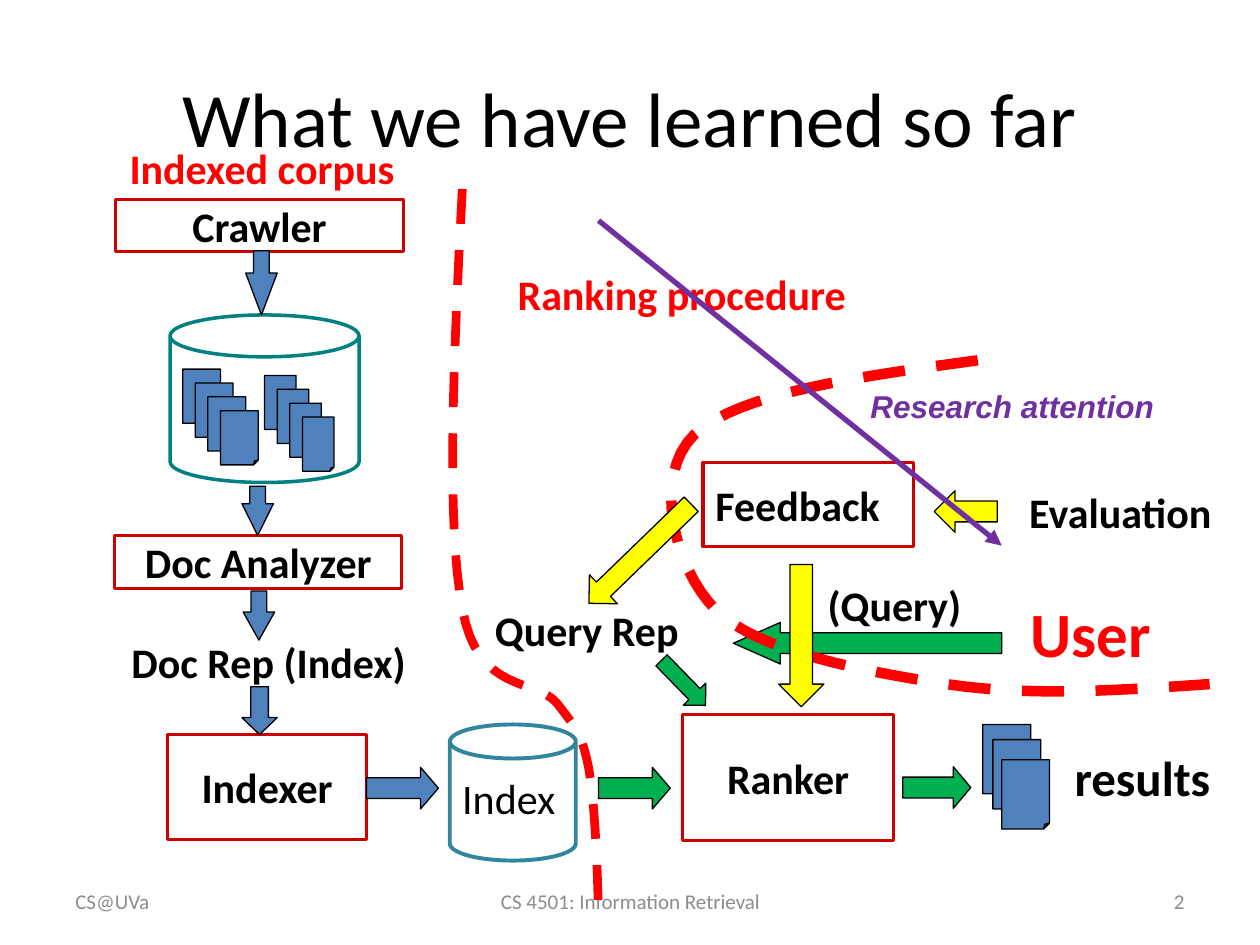
from lxml import etree
from pptx import Presentation
from pptx.dml.color import RGBColor
from pptx.enum.dml import MSO_LINE
from pptx.enum.shapes import MSO_CONNECTOR, MSO_SHAPE as SHAPE
from pptx.enum.text import MSO_ANCHOR as ANCHOR, PP_ALIGN as ALIGN
from pptx.oxml.ns import qn
from pptx.util import Inches, Pt

BLACK = RGBColor(0x00, 0x00, 0x00)
GRAY = RGBColor(0x8C, 0x8C, 0x8C)
RED = RGBColor(0xFF, 0x00, 0x00)
DARK_RED = RGBColor(0xCC, 0x00, 0x00)
BLUE = RGBColor(0x4F, 0x81, 0xBD)
GREEN = RGBColor(0x00, 0xB0, 0x50)
YELLOW = RGBColor(0xFF, 0xFF, 0x00)
TEAL = RGBColor(0x00, 0x80, 0x80)
SEA_BLUE = RGBColor(0x31, 0x85, 0x9C)
PURPLE = RGBColor(0x70, 0x30, 0xA0)

prs = Presentation()
prs.slide_width, prs.slide_height = Inches(10), Inches(7.5)
slide = prs.slides.add_slide(prs.slide_layouts[6])
shapes = slide.shapes


def add_figure(kind, at, fill=None, line=BLACK, width=0.75, adj=None, turn=0):
    figure = shapes.add_shape(kind, *map(Inches, at))
    figure.shadow.inherit = False
    if fill is None:
        figure.fill.background()
    else:
        figure.fill.solid()
        figure.fill.fore_color.rgb = fill
    figure.line.color.rgb = line
    figure.line.width = Pt(width)
    # Written as XML because folded corners expose no adjustments
    if adj:
        guides = figure._element.spPr.find(qn("a:prstGeom")).find(qn("a:avLst"))
        for guide in list(guides):
            guides.remove(guide)
        for name, value in adj.items():
            etree.SubElement(guides, qn("a:gd"), name=name, fmla=f"val {round(value * 100000)}")
    figure.rotation = turn
    return figure


def add_text(at, text, size=24, color=BLACK, bold=True, italic=False, font="Calibri",
             align=ALIGN.LEFT, anchor=ANCHOR.TOP, wrap=True, holder=None):
    holder = holder or shapes.add_textbox(*map(Inches, at))
    frame = holder.text_frame
    frame.word_wrap = wrap
    frame.vertical_anchor = anchor
    line = frame.paragraphs[0]
    line.text = text
    line.alignment = align
    line.font.name, line.font.size = font, Pt(size)
    line.font.bold, line.font.italic = bold, italic
    line.font.color.rgb = color


# Title and footer
add_text((0.5, 0.3, 9, 1.25), "What we have learned so far", 44, bold=False,
         align=ALIGN.CENTER, anchor=ANCHOR.MIDDLE)
for left, width, text, align in [
    (0.5, 2.33, "CS@UVa", ALIGN.LEFT),
    (3.42, 3.17, "CS 4501: Information Retrieval", ALIGN.CENTER),
    (7.17, 2.33, "2", ALIGN.RIGHT),
]:
    add_text((left, 6.95, width, 0.4), text, 12, GRAY, bold=False,
             align=align, anchor=ANCHOR.MIDDLE)

# Document corpus, index store and result pages
add_figure(SHAPE.CAN, (1.35, 2.5, 1.5, 1.33), line=TEAL, width=2, adj={"adj": 0.25})
add_figure(SHAPE.CAN, (3.57, 5.75, 1, 1.08), line=SEA_BLUE, width=2.25, adj={"adj": 0.27})
pages = [(left + 0.1 * i, top + 0.11 * i, width, 0.43)
         for left, top, width in [(1.45, 2.93, 0.3), (2.1, 2.98, 0.25)]
         for i in range(4)]
pages += [(left, top, 0.38, 0.55) for left, top in [(7.8, 5.75), (7.88, 5.87), (7.95, 6.03)]]
for at in pages:
    add_figure(SHAPE.FOLDED_CORNER, at, BLUE, adj={"adj": 0.125})

# Process boxes
for at, name, align in [
    ((0.92, 1.58, 2.28, 0.42), "Crawler", ALIGN.CENTER),
    ((0.91, 4.25, 2.28, 0.42), "Doc Analyzer", ALIGN.CENTER),
    ((1.33, 5.83, 1.58, 0.83), "Indexer", ALIGN.CENTER),
    ((5.42, 5.67, 1.67, 1), "Ranker", ALIGN.CENTER),
    ((5.58, 3.67, 1.67, 0.67), "Feedback", ALIGN.LEFT),
]:
    box = add_figure(SHAPE.RECTANGLE, at, line=DARK_RED, width=1.75)
    add_text(at, name, align=align, anchor=ANCHOR.MIDDLE, wrap=False, holder=box)

# Flow arrows: indexing in blue, querying in green
for at, color, head, turn in [
    ((1.95, 1.99, 0.25, 0.51), BLUE, 1.33, 0),
    ((1.92, 3.86, 0.25, 0.39), BLUE, 1.01, 0),
    ((1.93, 4.69, 0.25, 0.39), BLUE, 0.89, 0),
    ((1.92, 5.45, 0.28, 0.38), BLUE, 0.48, 0),
    ((3.03, 5.97, 0.33, 0.57), BLUE, 0.43, 270),
    ((4.87, 5.97, 0.33, 0.57), GREEN, 0.43, 270),
    ((7.27, 5.98, 0.33, 0.54), GREEN, 0.42, 270),
    ((5.3, 5.17, 0.25, 0.5), GREEN, 0.5, 315.7),
    ((6.72, 4.04, 0.33, 2.13), GREEN, 1.13, 90),
]:
    add_figure(SHAPE.DOWN_ARROW, at, color, adj={"adj1": 0.5, "adj2": head}, turn=turn)

# Dashed borders between corpus, ranking and user, traced along Bezier curves
STEPS = 16
corpus_border = [(3.67, 1.5), (3.6, 2.83), (3.54, 4.15), (3.67, 4.83),
                 (3.79, 5.51), (4.25, 5.38), (4.42, 5.58),
                 (4.58, 5.79), (4.61, 5.81), (4.67, 6.08),
                 (4.72, 6.36), (4.74, 6.81), (4.75, 7.25)]
user_border = [(7.76, 2.86), (6.81, 2.99), (5.86, 3.12), (5.51, 3.45),
               (5.17, 3.78), (5.35, 4.51), (5.68, 4.84),
               (6.01, 5.17), (6.86, 5.33), (7.51, 5.43),
               (8.17, 5.53), (8.88, 5.48), (9.6, 5.43)]
for controls, width in [(corpus_border, 5), (user_border, 6)]:
    trace = []
    for k in range(0, len(controls) - 1, 3):
        for step in range(1, STEPS + 1):
            t = step / STEPS
            weights = ((1 - t) ** 3, 3 * t * (1 - t) ** 2, 3 * t * t * (1 - t), t ** 3)
            trace.append(tuple(
                Inches(sum(w * point[axis] for w, point in zip(weights, controls[k:k + 4])))
                for axis in (0, 1)))
    builder = shapes.build_freeform(*map(Inches, controls[0]))
    builder.add_line_segments(trace, close=False)
    border = builder.convert_to_shape()
    border.shadow.inherit = False
    border.fill.background()
    border.line.color.rgb = RED
    border.line.width = Pt(width)
    border.line.dash_style = MSO_LINE.DASH

# Feedback arrows
for at, turn in [((7.5, 3.81, 0.33, 0.5), 90), ((6.18, 4.48, 0.36, 1.13), 0),
                 ((4.92, 3.83, 0.32, 1.13), 45.9)]:
    add_figure(SHAPE.DOWN_ARROW, at, YELLOW, adj={"adj1": 0.5, "adj2": 0.5}, turn=turn)

# Labels
add_text((0.93, 1.08, 2.67, 0.5), "Indexed corpus", color=RED)
add_text((4.01, 2.08, 3.01, 0.5), "Ranking procedure", color=RED)
add_text((8.08, 4.67, 1.56, 0.7), "User", 36, RED)
add_text((3.83, 4.75, 2.22, 0.5), "Query Rep")
add_text((6.47, 4.55, 2.22, 0.5), "(Query)")
add_text((0.42, 5, 3.5, 0.5), "Doc Rep (Index) ", align=ALIGN.CENTER)
add_text((8.07, 3.81, 1.67, 0.51), "Evaluation", wrap=False)
add_text((8.43, 5.88, 1.3, 0.57), "results", 28, wrap=False)
add_text((3.57, 6.08, 0.96, 0.5), "Index", bold=False, wrap=False)

# Research attention arrow
attention = shapes.add_connector(MSO_CONNECTOR.STRAIGHT, Inches(4.75), Inches(1.75),
                                 Inches(7.95), Inches(4.33))
attention.line.color.rgb = PURPLE
attention.line.width = Pt(3)
outline = attention._element.spPr.find(qn("a:ln"))
etree.SubElement(outline, qn("a:tailEnd"), type="triangle")
etree.SubElement(attention._element.spPr, qn("a:effectLst"))
add_text((6.81, 3.02, 2.92, 0.4), "Research attention", 18, PURPLE, italic=True, font="Arial")

prs.save("out.pptx")
